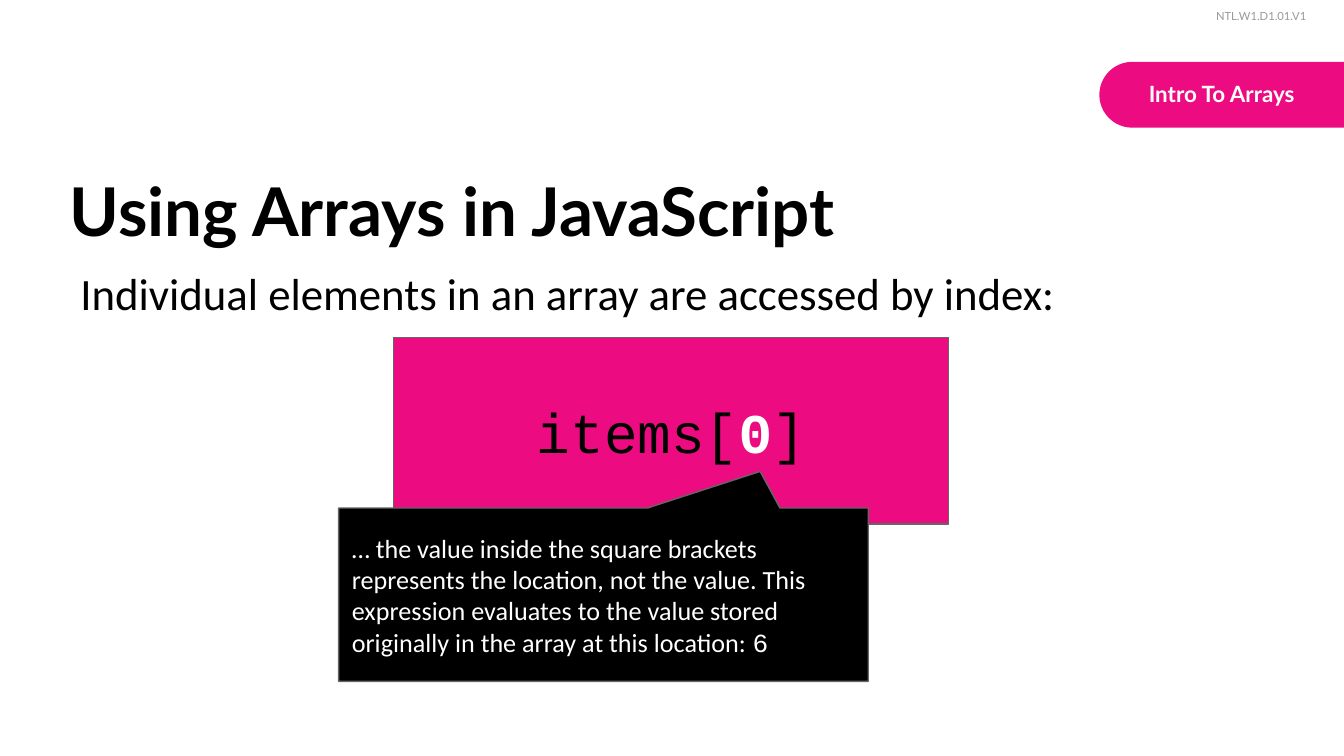
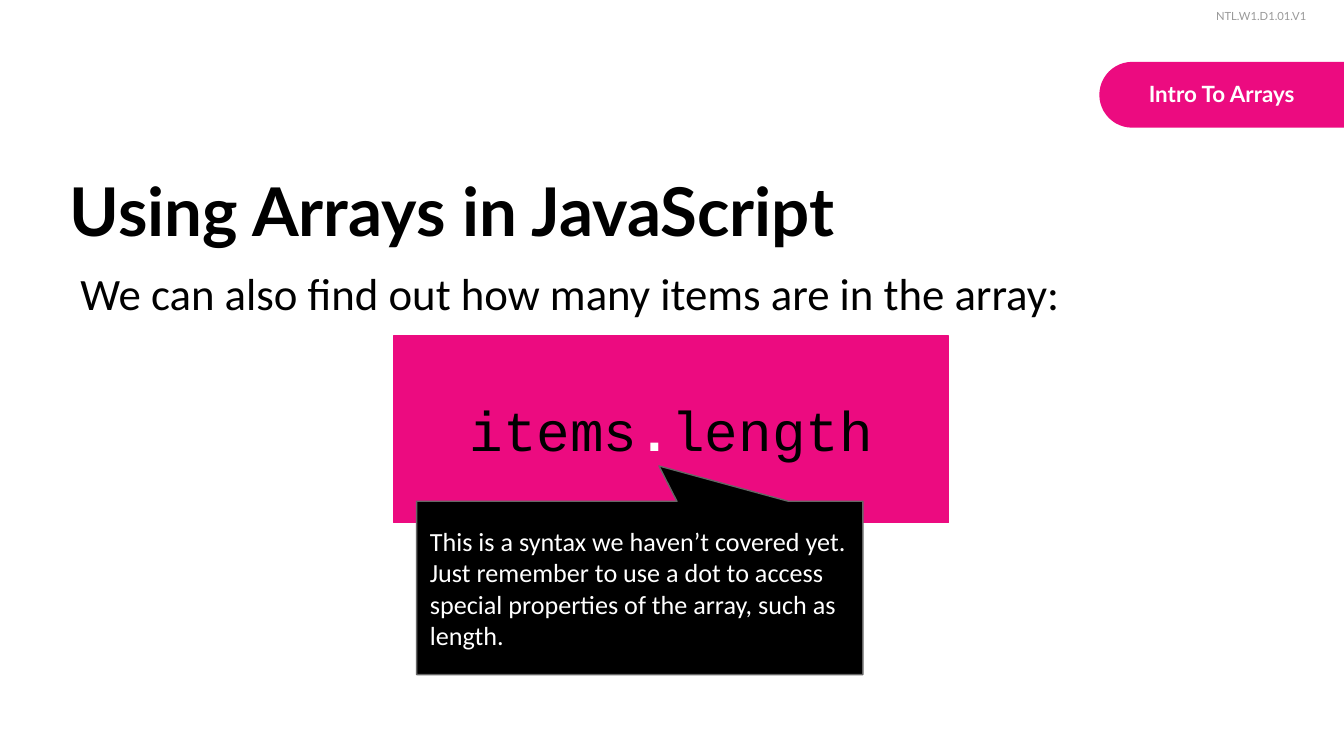
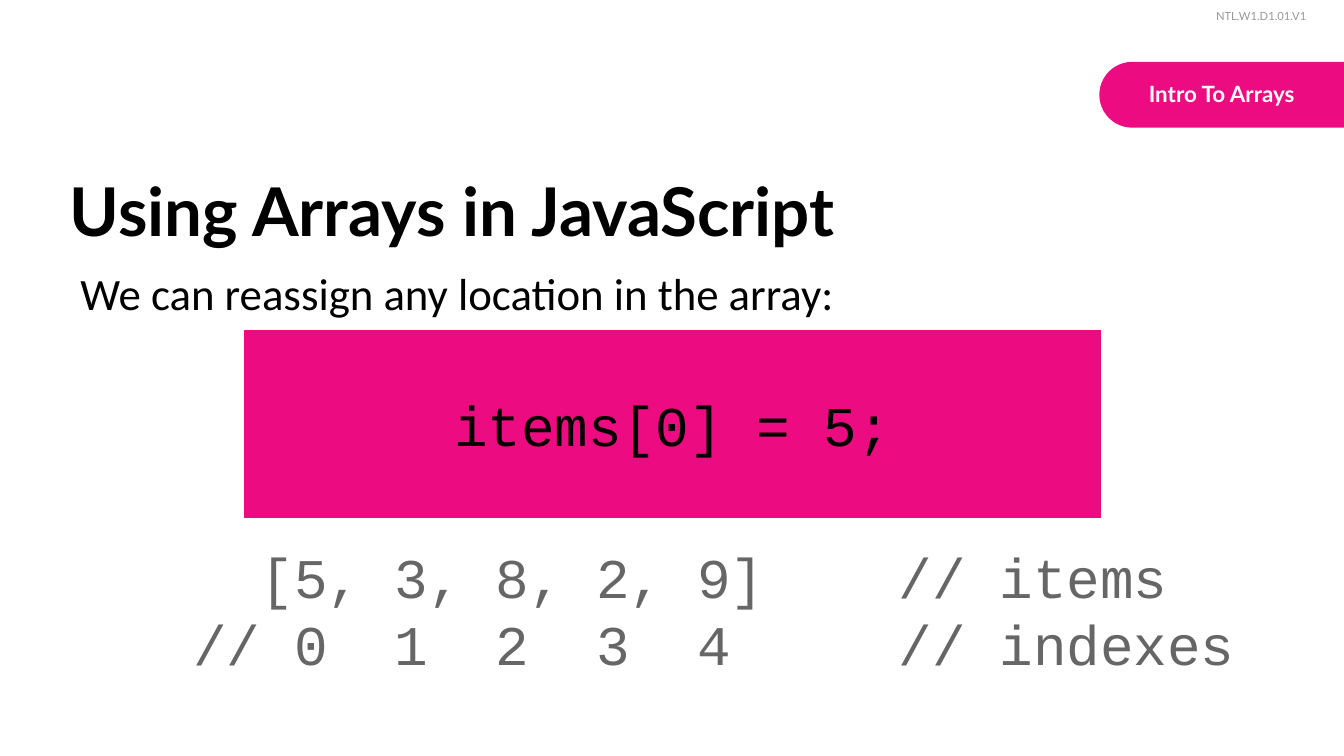
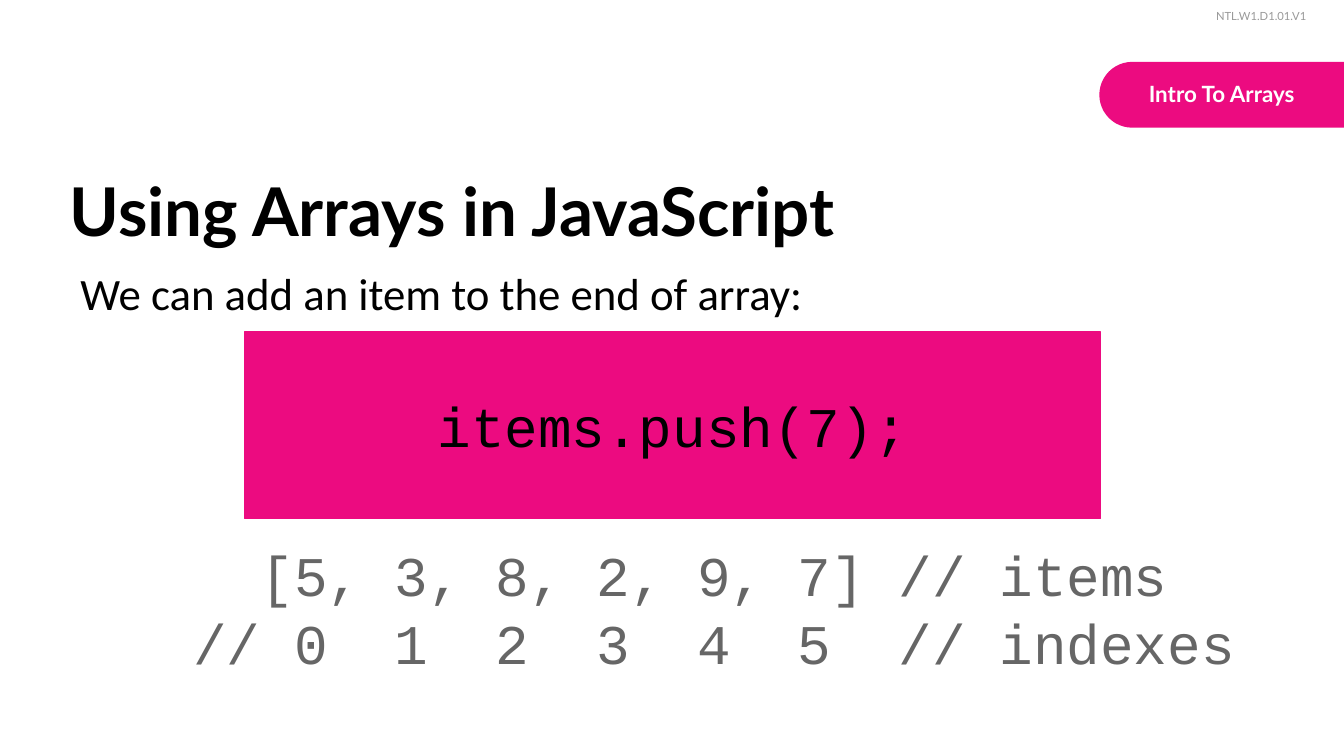
from pptx import Presentation
from pptx import util as u
from pptx.dml import color
from pptx.enum import shapes, text

# Shared style
PINK, BLACK, WHITE = "EC0B80", "000000", "FFFFFF"
GREY, PALE_GREY = "666666", "999999"
HEADING, BODY, CODE = "Lato", "Calibri", "Courier New"
CODE_SIZE = 30
INSET = u.Inches(0.1)


def rgb(hex_string):
    return color.RGBColor.from_string(hex_string)


def write(frame, paragraphs, size, font, ink, bold=False, align=None,
          anchor=text.MSO_ANCHOR.TOP, grow=False, spacing=None):
    """Each paragraph is a list of (words, changes) runs."""
    frame.word_wrap = True
    frame.auto_size = (text.MSO_AUTO_SIZE.SHAPE_TO_FIT_TEXT if grow
                       else text.MSO_AUTO_SIZE.NONE)
    frame.vertical_anchor = anchor
    frame.margin_left = frame.margin_right = INSET
    frame.margin_top = frame.margin_bottom = INSET
    for number, runs in enumerate(paragraphs):
        paragraph = frame.add_paragraph() if number else frame.paragraphs[0]
        paragraph.alignment = align or text.PP_ALIGN.LEFT
        if spacing:
            paragraph.line_spacing = spacing
        for words, changes in runs:
            run = paragraph.add_run()
            run.text = words
            run.font.size = u.Pt(size)
            run.font.name = changes.get("font", font)
            run.font.bold = changes.get("bold", bold)
            run.font.color.rgb = rgb(changes.get("ink", ink))


def add_label(slide, box, paragraphs, size, font, ink, **style):
    label = slide.shapes.add_textbox(*map(u.Inches, box))
    write(label.text_frame, paragraphs, size, font, ink, **style)


def add_panel(slide, preset, box, fill, line=None, adjustments=()):
    panel = slide.shapes.add_shape(preset, *map(u.Inches, box))
    panel.shadow.inherit = False
    panel.fill.solid()
    panel.fill.fore_color.rgb = rgb(fill)
    if line:
        panel.line.color.rgb = rgb(line)
        panel.line.width = u.Pt(0.75)
    else:
        panel.line.fill.background()
    for index, value in enumerate(adjustments):
        panel.adjustments[index] = value
    return panel


def add_topic_tab(slide, box):
    """Pink tab, rounded on its left, running off the right edge."""
    left, top, width, height = box
    # The preset is upright, so it is turned about the centre of the box
    upright = (left + (width - height) / 2, top + (height - width) / 2,
               height, width)
    tab = add_panel(slide, shapes.MSO_SHAPE.ROUND_2_SAME_RECTANGLE, upright,
                    PINK, adjustments=(0.5, 0))
    tab.rotation = 270
    add_label(slide, (left + 0.05, top + 0.04, 1.72, 0.4),
              [[("Intro To Arrays", {})]], 12, HEADING, WHITE, bold=True,
              align=text.PP_ALIGN.CENTER, grow=True)


def add_lesson_slide(deck, statement):
    """Blank slide with the tab, version code, title and statement."""
    slide = deck.slides.add_slide(deck.slide_layouts[6])
    add_topic_tab(slide, (8.18, 0.46, 1.83, 0.49))
    add_label(slide, (8.95, 0, 0.97, 0.3), [[("NTL.W1.D1.01.V1", {})]],
              6, HEADING, PALE_GREY, grow=True, spacing=1.15)
    add_label(slide, (0.42, 1.16, 8.42, 2.66),
              [[("Using Arrays in JavaScript", {})]],
              36, HEADING, BLACK, bold=True, grow=True)
    add_label(slide, (0.5, 1.88, 9, 4.07), [[(statement, {})]],
              24, BODY, BLACK)
    return slide


def add_code_panel(slide, box, runs, line=PINK):
    panel = add_panel(slide, shapes.MSO_SHAPE.RECTANGLE, box, PINK, line)
    write(panel.text_frame, [runs], CODE_SIZE, CODE, BLACK,
          align=text.PP_ALIGN.CENTER, anchor=text.MSO_ANCHOR.MIDDLE)


def add_callout(slide, box, pointer, runs):
    """Black note; pointer is the tip's offset from the centre."""
    note = add_panel(slide, shapes.MSO_SHAPE.ROUNDED_RECTANGULAR_CALLOUT,
                     box, BLACK, GREY, (*pointer, 0))
    write(note.text_frame, [runs], 14, BODY, WHITE,
          anchor=text.MSO_ANCHOR.MIDDLE)


def add_array_listing(slide, box, lines):
    add_label(slide, box, [[(line, {})] for line in lines],
              CODE_SIZE, CODE, GREY, anchor=text.MSO_ANCHOR.MIDDLE)


def main():
    deck = Presentation()
    deck.slide_width, deck.slide_height = u.Inches(10), u.Inches(5.625)
    highlight = {"ink": WHITE, "bold": True}

    # Access by index
    access = add_lesson_slide(
        deck, "Individual elements in an array are accessed by index:")
    add_code_panel(access, (2.93, 2.51, 4.13, 1.39),
                   [("items[", {}), ("0", highlight), ("]", {})], GREY)
    add_callout(access, (2.52, 3.78, 3.94, 1.29), (0.296, -0.711), [
        ("… the value inside the square brackets represents the location, "
         "not the value. This expression evaluates to the value stored "
         "originally in the array at this location: ", {}),
        ("6", {"font": CODE})])

    # Length
    length = add_lesson_slide(
        deck, "We can also find out how many items are in the array:")
    add_code_panel(length, (2.93, 2.5, 4.13, 1.39),
                   [("items", {}), (".", highlight), ("length", {})])
    add_callout(length, (3.1, 3.73, 3.32, 1.29), (0.043, -0.704), [
        ("This is a syntax we haven’t covered yet. Just remember to use a "
         "dot to access special properties of the array, such as length.",
         {})])

    # Reassignment
    reassign = add_lesson_slide(
        deck, "We can reassign any location in the array:")
    add_code_panel(reassign, (1.82, 2.46, 6.37, 1.39),
                   [("items[0] = 5;", {})])
    add_array_listing(reassign, (1.09, 3.84, 8.63, 1.39),
                      ["   [5, 3, 8, 2, 9]    // items",
                       " // 0  1  2  3  4     // indexes"])

    # Push
    push = add_lesson_slide(deck, "We can add an item to the end of array:")
    add_code_panel(push, (1.82, 2.47, 6.37, 1.39), [("items.push(7);", {})])
    add_array_listing(push, (1.09, 3.83, 8.28, 1.39),
                      ["   [5, 3, 8, 2, 9, 7] // items",
                       " // 0  1  2  3  4  5  // indexes"])

    deck.save("out.pptx")


if __name__ == "__main__":
    main()
